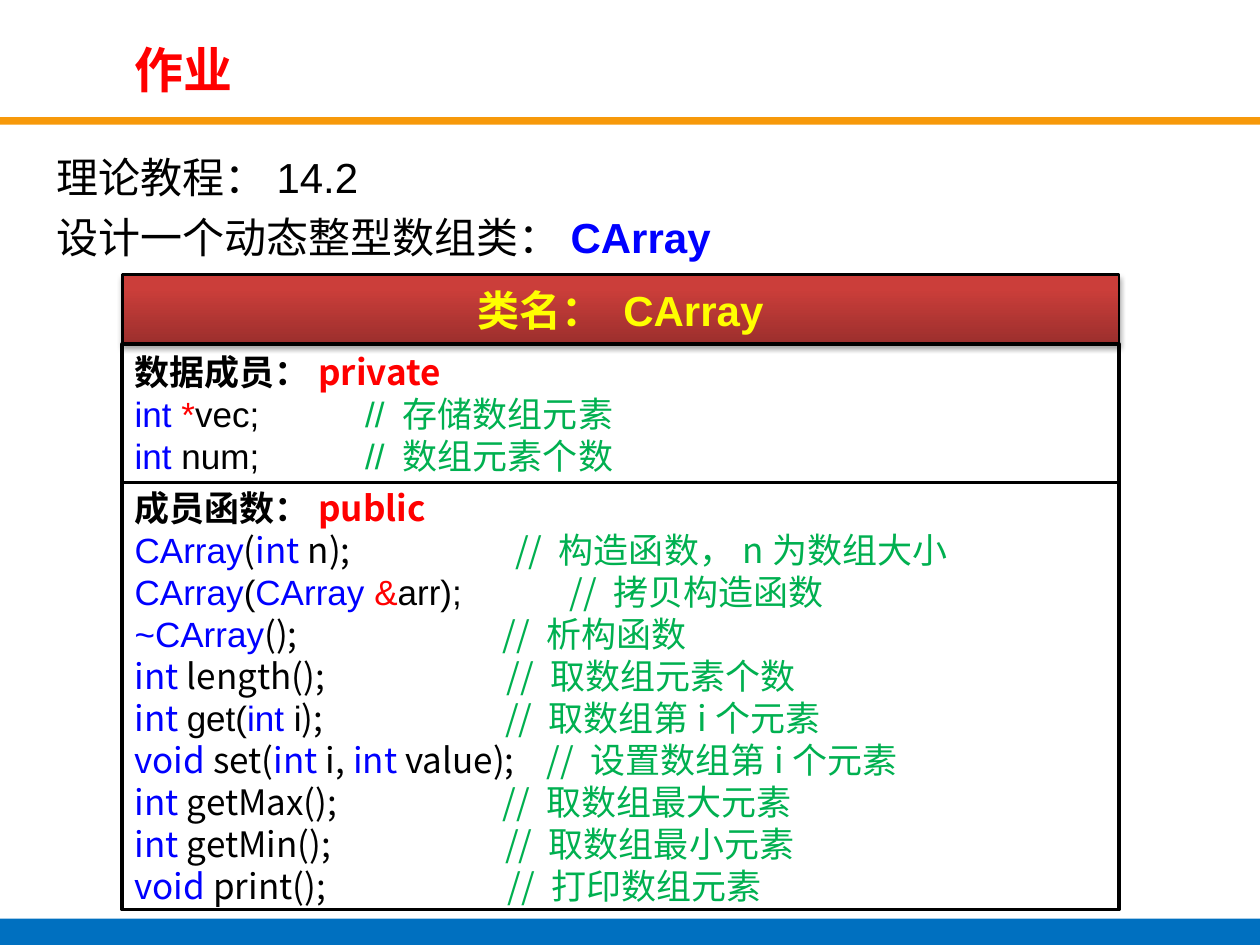
from lxml import etree
from pptx import Presentation
from pptx.dml.color import RGBColor
from pptx.enum.shapes import MSO_SHAPE as Shape
from pptx.enum.text import MSO_ANCHOR as Anchor, PP_ALIGN as Align
from pptx.oxml import parse_xml
from pptx.oxml.ns import nsdecls, qn
from pptx.util import Inches, Pt

COLORS = {
    "black": "000000", "red": "FF0000", "blue": "0000FF", "green": "00B050",
    "yellow": "FFFF00", "orange": "F7990A", "footer": "0070C0",
    "dark red": "9C2F2D", "bright red": "CB3E3A",
}
ARIAL = "Arial"
NOTO = "Noto Sans CJK SC"

DATA_MEMBERS = [
    (1.83, [("int ", "blue", ARIAL), ("*", "red", ARIAL), ("vec;", "black", ARIAL)],
     ("// 存储数组元素", ARIAL)),
    (1.83, [("int ", "blue", ARIAL), ("num;", "black", ARIAL)],
     ("// 数组元素个数", ARIAL)),
]
FUNCTIONS = [
    (3.02, [("CArray", "blue", ARIAL), ("(", "black", NOTO), ("int", "blue", NOTO),
            (" n);", "black", NOTO)], ("// 构造函数，n为数组大小", NOTO)),
    (3.45, [("CArray", "blue", ARIAL), ("(", "black", ARIAL), ("CArray ", "blue", ARIAL),
            ("&", "red", ARIAL), ("arr);", "black", ARIAL)], ("// 拷贝构造函数", NOTO)),
    (2.92, [("~CArray", "blue", ARIAL), ("();", "black", NOTO)], ("// 析构函数", NOTO)),
    (2.95, [("int", "blue", NOTO), (" length();", "black", NOTO)],
     ("// 取数组元素个数", NOTO)),
    (2.94, [("int ", "blue", NOTO), ("get(", "black", ARIAL), ("int ", "blue", ARIAL),
            ("i", "black", ARIAL), (");", "black", NOTO)], ("// 取数组第i个元素", NOTO)),
    (3.27, [("void ", "blue", NOTO), ("set(", "black", NOTO), ("int ", "blue", NOTO),
            ("i, ", "black", NOTO), ("int", "blue", NOTO), (" value);", "black", NOTO)],
     ("// 设置数组第i个元素", NOTO)),
    (2.92, [("int ", "blue", NOTO), ("getMax();", "black", NOTO)],
     ("// 取数组最大元素", NOTO)),
    (2.94, [("int ", "blue", NOTO), ("getMin();", "black", NOTO)],
     ("// 取数组最小元素", NOTO)),
    (2.96, [("void", "blue", NOTO), (" print();", "black", NOTO)],
     ("// 打印数组元素", NOTO)),
]


def rgb(name):
    return RGBColor.from_string(COLORS[name])


def write_para(para, spans, size, bold=False):
    para.font.size = Pt(size)
    para.font.bold = bold
    for text, color, font in spans:
        span = para.add_run()
        span.text = text
        span.font.name = font
        span.font.color.rgb = rgb(color)
        east_asian = etree.SubElement(span.font._element, qn("a:ea"))
        east_asian.set("typeface", NOTO)
    return para


def add_tab_stop(para, position):
    para._p.get_or_add_pPr().append(parse_xml(
        f'<a:tabLst {nsdecls("a")}><a:tab pos="{Inches(position)}" algn="l"/></a:tabLst>'))


def next_para(frame, index):
    return frame.add_paragraph() if index else frame.paragraphs[0]


def add_bar(page, left, top, width, height, color):
    bar = page.shapes.add_shape(Shape.RECTANGLE, left, top, width, height)
    bar.shadow.inherit = False
    bar.fill.solid()
    bar.fill.fore_color.rgb = rgb(color)
    bar.line.fill.background()


def add_text_frame(page, left, top, width, height, anchor):
    frame = page.shapes.add_textbox(left, top, width, height).text_frame
    frame.word_wrap = True
    frame.vertical_anchor = anchor
    return frame


def add_title(page, left, top, width, height):
    frame = add_text_frame(page, left, top, width, height, Anchor.MIDDLE)
    write_para(frame.paragraphs[0], [("作业", "red", ARIAL)], 28, True)


def add_tasks(page, left, top, width, height):
    frame = add_text_frame(page, left, top, width, height, Anchor.TOP)
    tasks = [[("理论教程：14.2", "black", ARIAL)],
             [("设计一个动态整型数组类：", "black", ARIAL), ("CArray", "blue", ARIAL)]]
    for index, spans in enumerate(tasks):
        para = write_para(next_para(frame, index), spans, 24)
        para.alignment = Align.JUSTIFY
        para.line_spacing = 1.2
    frame.paragraphs[1].runs[1].font.bold = True


def add_class_box(page, left, top, width, height, line_width):
    box = page.shapes.add_shape(Shape.RECTANGLE, left, top, width, height)
    box.shadow.inherit = False
    box.fill.background()
    box.line.color.rgb = rgb("black")
    box.line.width = Pt(line_width)
    box.text_frame.word_wrap = True
    box.text_frame.vertical_anchor = Anchor.MIDDLE
    return box


def add_class_name(page, left, top, width, height):
    box = add_class_box(page, left, top, width, height, 1.5)
    box.fill.gradient()
    box.fill.gradient_angle = 90
    stops = [(0, "dark red"), (0.8, "bright red")]
    for stop, (position, color) in zip(box.fill.gradient_stops, stops):
        stop.position = position
        stop.color.rgb = rgb(color)
    effects = box._element.spPr.find(qn("a:effectLst"))
    effects.append(parse_xml(
        f'<a:outerShdw {nsdecls("a")} blurRad="{Pt(3.1)}" dist="{Pt(1.8)}" dir="5400000" '
        f'rotWithShape="0"><a:srgbClr val="{COLORS["black"]}"><a:alpha val="35000"/>'
        '</a:srgbClr></a:outerShdw>'))
    para = write_para(box.text_frame.paragraphs[0],
                      [("类名： CArray", "yellow", ARIAL)], 24, True)
    para.alignment = Align.CENTER


def add_members(page, left, top, width, height, heading, access, members):
    frame = add_class_box(page, left, top, width, height, 2).text_frame
    para = write_para(frame.paragraphs[0],
                      [(heading, "black", NOTO), (access, "red", NOTO)], 20, True)
    para.alignment = Align.LEFT
    for stop, code, (comment, font) in members:
        para = frame.add_paragraph()
        para.alignment = Align.LEFT
        add_tab_stop(para, stop)
        write_para(para, code + [("\t" + comment, "green", font)], 20)


def add_class_diagram(page, left, top, width):
    name_height, data_height, function_height = Inches(0.55), Inches(1.1), Inches(3.39)
    data_top = top + name_height
    add_class_name(page, left, top, width, name_height)
    add_members(page, left, data_top, width, data_height,
                "数据成员：", "private", DATA_MEMBERS)
    add_members(page, left, data_top + data_height, width, function_height,
                "成员函数：", "public", FUNCTIONS)


def main():
    deck = Presentation()
    deck.slide_width, deck.slide_height = Inches(10), Inches(7.5)
    page = deck.slides.add_slide(deck.slide_layouts[6])
    add_bar(page, 0, Inches(0.93), deck.slide_width, Inches(0.06), "orange")
    add_bar(page, 0, Inches(7.29), deck.slide_width, Inches(0.21), "footer")
    add_tasks(page, Inches(0.35), Inches(1.07), Inches(9.29), Inches(5.99))
    add_title(page, Inches(0.97), Inches(0.27), Inches(6.86), Inches(0.55))
    add_class_diagram(page, Inches(0.97), Inches(2.18), Inches(7.91))
    deck.save("out.pptx")


if __name__ == "__main__":
    main()
